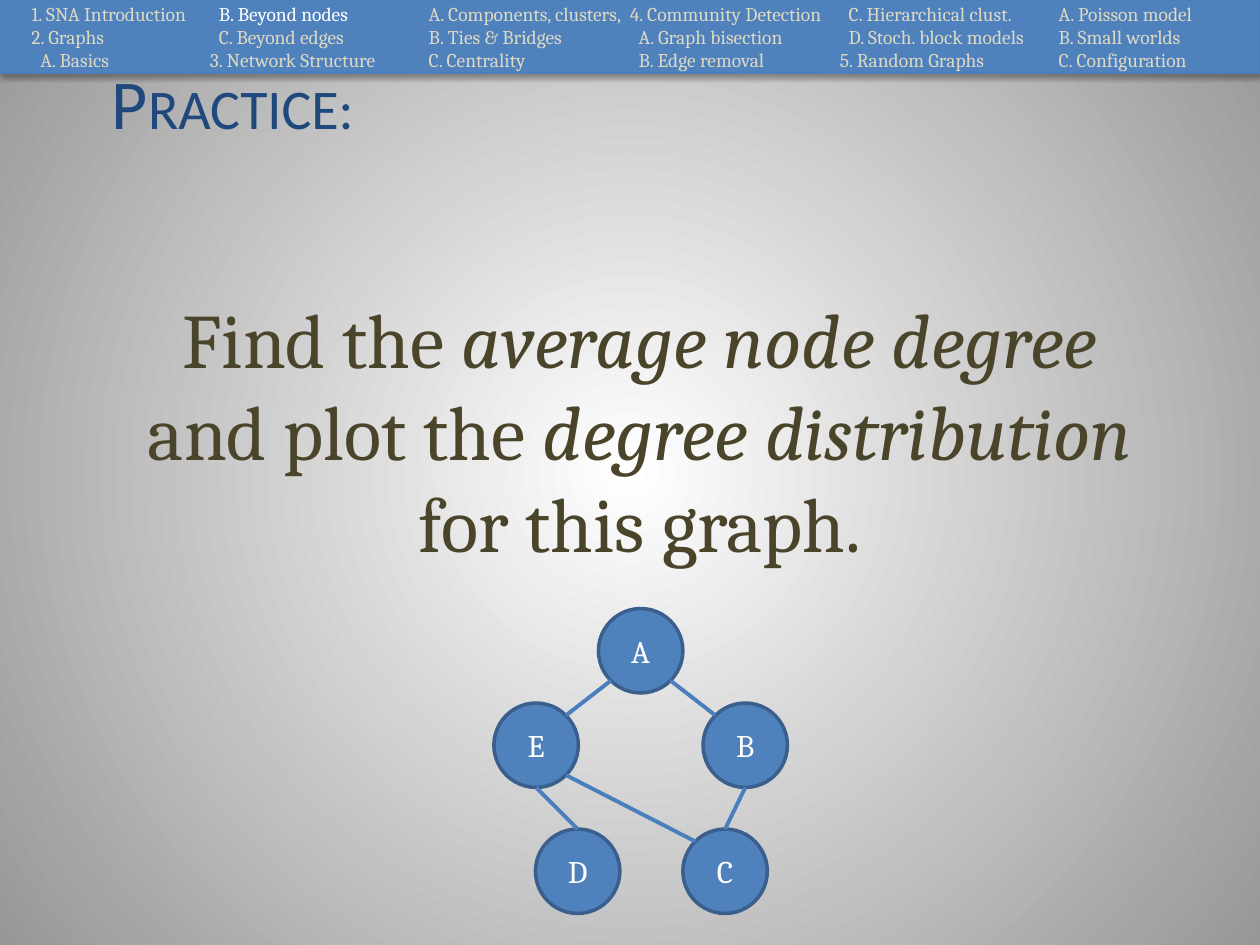
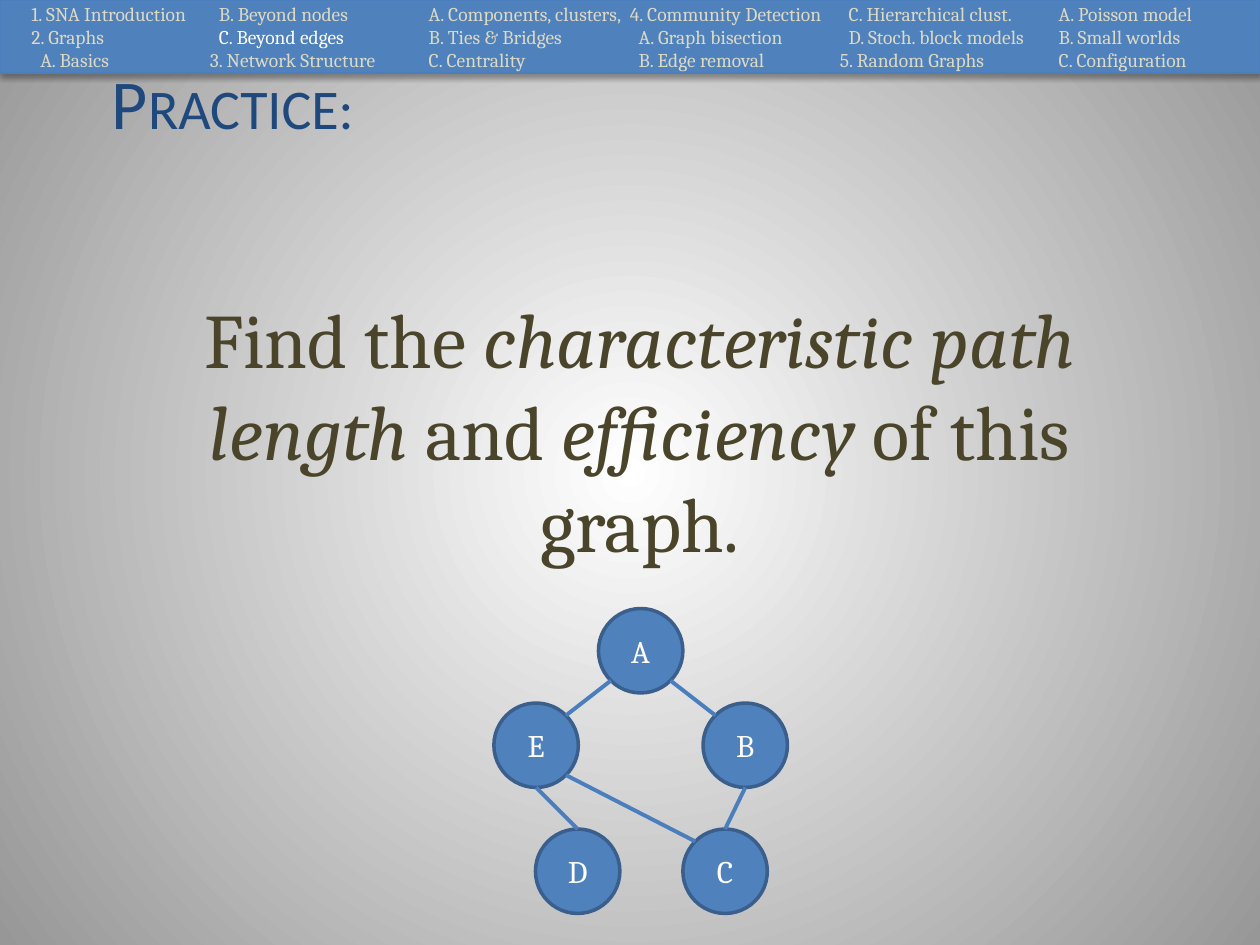
from dataclasses import dataclass
from math import sqrt

from lxml import etree
from pptx import Presentation
from pptx import util as u
from pptx.dml.color import RGBColor
from pptx.enum import shapes, text
from pptx.oxml.ns import qn


@dataclass(frozen=True)
class Theme:
    heading_font: str = "Calibri"
    body_font: str = "Cambria"
    title_size: float = 40
    task_size: float = 44
    node_size: float = 18
    outline_size: float = 11.1
    title: str = "1F497D"
    task: str = "4A452A"
    fill: str = "4F81BD"
    node_line: str = "3A5F8C"
    edge: str = "4B7EBC"
    muted: str = "DDD9C3"
    white: str = "FFFFFF"
    grey: str = "979797"
    shadow: str = "000000"


THEME = Theme()

OUTLINE = [
    (0, "1. SNA Introduction"), (0, "2. Graphs"), (1, "A. Basics"),
    (1, "B. Beyond nodes"), (1, "C. Beyond edges"), (0, "3. Network Structure"),
    (1, "A. Components, clusters,"), (1, "B. Ties & Bridges"), (1, "C. Centrality"),
    (0, "4. Community Detection"), (1, "A. Graph bisection"), (1, "B. Edge removal"),
    (1, "C. Hierarchical clust."), (1, "D. Stoch. block models"), (0, "5. Random Graphs"),
    (1, "A. Poisson model"), (1, "B. Small worlds"), (1, "C. Configuration"),
]
ROWS_PER_COLUMN = 3
FIRST_COLUMN_MARGIN = 0.25
SUBITEM_INDENT = 0.07

NODE_DIAMETER = 0.67
NODES = {"A": (0.83, 0), "B": (1.66, 0.75), "C": (1.5, 1.75), "D": (0.33, 1.75), "E": (0, 0.75)}
DIAGONAL = 1 / sqrt(2)
SITES = {
    "top": (0, -1),
    "bottom": (0, 1),
    "top left": (-DIAGONAL, -DIAGONAL),
    "top right": (DIAGONAL, -DIAGONAL),
    "bottom left": (-DIAGONAL, DIAGONAL),
    "bottom right": (DIAGONAL, DIAGONAL),
}
EDGES = [
    ("E", "top right", "A", "bottom left"),
    ("B", "top left", "A", "bottom right"),
    ("B", "bottom", "C", "top"),
    ("E", "bottom right", "C", "top left"),
    ("D", "top", "E", "bottom"),
]

PRACTICES = [
    ("B. Beyond nodes", [
        ("Find the ", False), ("average node degree", True), (" and plot the ", False),
        ("degree distribution ", True), ("for this graph.", False)]),
    ("C. Beyond edges", [
        ("Find the ", False), ("characteristic path length", True), (" and ", False),
        ("efficiency", True), (" of this graph.", False)]),
]


def inches(*lengths):
    return [u.Inches(length) for length in lengths]


def add_run(paragraph, wording, font, size, color, italic=False):
    run = paragraph.add_run()
    run.text = wording
    run.font.name = font
    run.font.size = u.Pt(size)
    run.font.color.rgb = RGBColor.from_string(color)
    run.font.italic = italic
    return run


def add_filled_shape(slide, kind, box, line_color, line_width):
    shape = slide.shapes.add_shape(kind, *inches(*box))
    shape.shadow.inherit = False
    shape.fill.solid()
    shape.fill.fore_color.rgb = RGBColor.from_string(THEME.fill)
    shape.line.color.rgb = RGBColor.from_string(line_color)
    shape.line.width = u.Pt(line_width)
    shape.text_frame.vertical_anchor = text.MSO_ANCHOR.MIDDLE
    return shape


def add_text_area(slide, box, anchor):
    frame = slide.shapes.add_textbox(*inches(*box)).text_frame
    frame.word_wrap = True
    frame.vertical_anchor = anchor
    return frame.paragraphs[0]


def paint_background(slide):
    fill = slide.background.fill
    fill.gradient()
    for stop, color in zip(fill.gradient_stops, (THEME.white, THEME.grey)):
        stop.color.rgb = RGBColor.from_string(color)
    gradient = next(slide.element.iter(qn("a:gradFill")))
    gradient.remove(gradient.find(qn("a:lin")))
    radial = etree.SubElement(gradient, qn("a:path"), {"path": "circle"})
    etree.SubElement(radial, qn("a:fillToRect"), dict.fromkeys("ltrb", "50000"))


def add_title(slide, box):
    paragraph = add_text_area(slide, box, text.MSO_ANCHOR.TOP)
    run = add_run(paragraph, "Practice:", THEME.heading_font, THEME.title_size, THEME.title)
    run.font._element.set("cap", "small")


def add_task(slide, box, phrases):
    paragraph = add_text_area(slide, box, text.MSO_ANCHOR.MIDDLE)
    paragraph.alignment = text.PP_ALIGN.CENTER
    paragraph.space_before = u.Pt(THEME.task_size * 0.2)
    for wording, italic in phrases:
        add_run(paragraph, wording, THEME.body_font, THEME.task_size, THEME.task, italic)


def add_graph(slide, left, top):
    radius = NODE_DIAMETER / 2

    def site_position(node, site):
        return [origin + offset + radius * (1 + direction)
                for origin, offset, direction in zip((left, top), NODES[node], SITES[site])]

    for name, (across, down) in NODES.items():
        box = (left + across, top + down, NODE_DIAMETER, NODE_DIAMETER)
        node = add_filled_shape(slide, shapes.MSO_SHAPE.OVAL, box, THEME.node_line, 2)
        paragraph = node.text_frame.paragraphs[0]
        paragraph.alignment = text.PP_ALIGN.CENTER
        add_run(paragraph, name, THEME.body_font, THEME.node_size, THEME.white)

    for start, start_site, end, end_site in EDGES:
        points = site_position(start, start_site) + site_position(end, end_site)
        edge = slide.shapes.add_connector(shapes.MSO_CONNECTOR.STRAIGHT, *inches(*points))
        edge.line.color.rgb = RGBColor.from_string(THEME.edge)
        edge.line.width = u.Pt(2.25)
        etree.SubElement(edge._element.spPr, qn("a:effectLst"))


def add_outline_band(slide, box, current):
    band = add_filled_shape(slide, shapes.MSO_SHAPE.RECTANGLE, box, THEME.edge, 0.75)
    effects = band._element.spPr.find(qn("a:effectLst"))
    shadow = etree.SubElement(effects, qn("a:outerShdw"), {
        "blurRad": str(u.Pt(3.1)), "dist": str(u.Pt(1.8)), "dir": "5400000", "rotWithShape": "0"})
    color = etree.SubElement(shadow, qn("a:srgbClr"), {"val": THEME.shadow})
    etree.SubElement(color, qn("a:alpha"), {"val": "35000"})

    frame = band.text_frame
    frame.margin_left = frame.margin_top = frame.margin_right = frame.margin_bottom = 0
    frame._txBody.bodyPr.set("numCol", str(len(OUTLINE) // ROWS_PER_COLUMN))
    for index, (level, heading) in enumerate(OUTLINE):
        paragraph = frame.add_paragraph() if index else frame.paragraphs[0]
        paragraph.alignment = text.PP_ALIGN.LEFT
        margin = level * SUBITEM_INDENT
        if index < ROWS_PER_COLUMN:
            margin += FIRST_COLUMN_MARGIN
        properties = paragraph._p.get_or_add_pPr()
        properties.set("marL", str(u.Inches(margin)))
        properties.set("indent", "0")
        color = THEME.white if heading == current else THEME.muted
        add_run(paragraph, heading, THEME.body_font, THEME.outline_size, color)


def add_practice_slide(presentation, current, phrases):
    slide = presentation.slides.add_slide(presentation.slide_layouts[6])
    paint_background(slide)
    add_title(slide, (0.79, 0.42, 8.5, 1.49))
    add_task(slide, (0.83, 2.25, 8.5, 2.32), phrases)
    add_graph(slide, 3.92, 4.83)
    add_outline_band(slide, (0, 0, 10, 0.58), current)


def main():
    presentation = Presentation()
    presentation.slide_width, presentation.slide_height = inches(10, 7.5)
    for current, phrases in PRACTICES:
        add_practice_slide(presentation, current, phrases)
    presentation.save("out.pptx")


if __name__ == "__main__":
    main()
